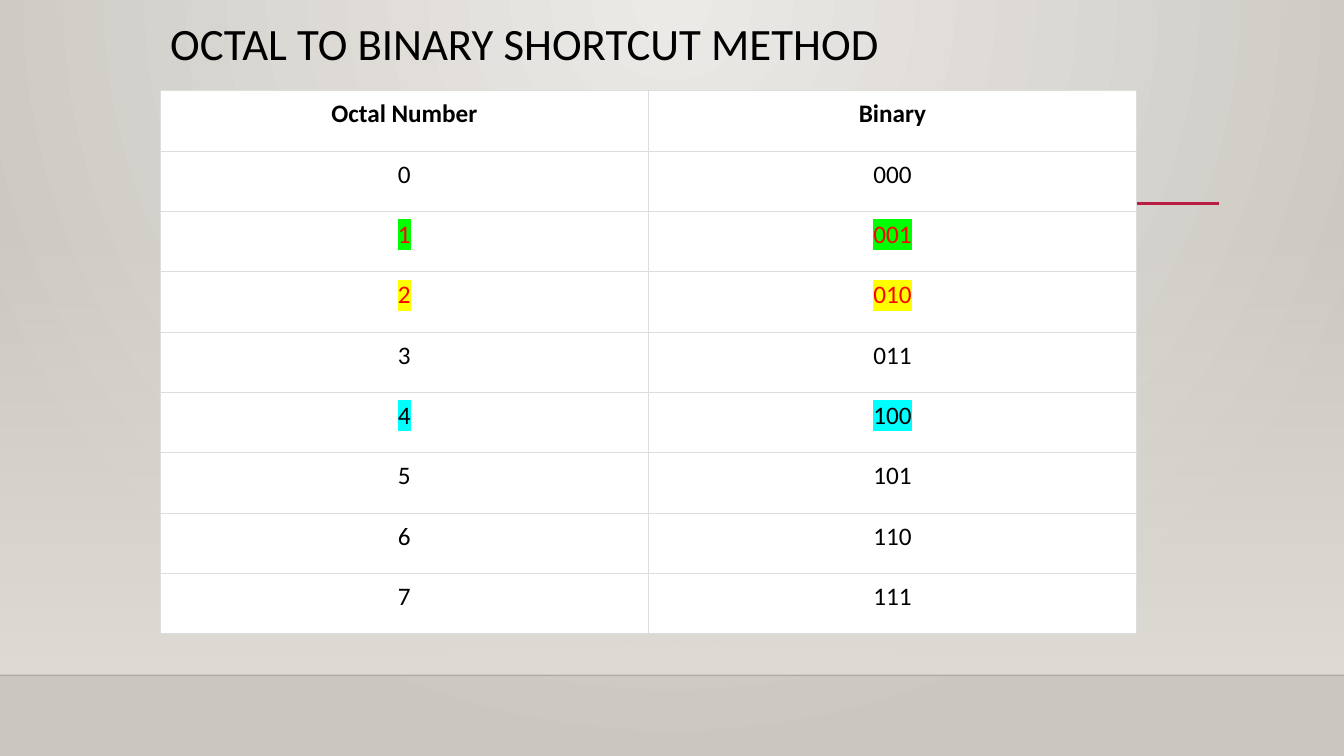
from lxml import etree
from pptx import Presentation
from pptx import util as u
from pptx.dml.color import RGBColor
from pptx.enum import shapes, text
from pptx.oxml import ns

FONT = "Calibri"
COLORS = {
    "glow": "ECEAE7", "backdrop": "CAC7C1", "wall": "DFDBD5",
    "edge": "000001", "accent": "B71E42", "ink": "000000",
    "cell": "FFFFFF", "border": "DDDDDD", "marked": "FF0000",
    "green": "00FF00", "yellow": "FFFF00", "cyan": "00FFFF",
}
# Octal digit: (font colour, highlight colour)
MARKED_DIGITS = {1: ("marked", "green"), 2: ("marked", "yellow"), 4: ("ink", "cyan")}


def rgb(name):
    """Return the named colour."""
    return RGBColor.from_string(COLORS[name])


def add_child(parent, tag, **attributes):
    """Append a DrawingML element to parent."""
    return etree.SubElement(parent, ns.qn(tag), attributes)


def set_gradient(fill, first, last):
    """Give a fill a gradient between two named colours."""
    fill.gradient()
    for stop, name, position in zip(fill.gradient_stops, (first, last), (0, 1)):
        stop.color.rgb = rgb(name)
        stop.position = position


def set_alpha(element, percent):
    """Set the opacity of the first colour inside an element."""
    add_child(next(element.iter(ns.qn("a:srgbClr"))), "a:alpha", val=str(percent * 1000))


def format_run(run, size, color="ink", bold=False):
    """Set the font of a run."""
    run.font.name = FONT
    run.font.size = u.Pt(size)
    run.font.bold = bold
    run.font.color.rgb = rgb(color)


def add_rule(slide, left, top, width, color, weight):
    """Draw a horizontal line without a shadow."""
    rule = slide.shapes.add_connector(
        shapes.MSO_CONNECTOR.STRAIGHT,
        u.Pt(left), u.Pt(top), u.Pt(left + width), u.Pt(top))
    rule.line.color.rgb = rgb(color)
    rule.line.width = u.Pt(weight)
    add_child(rule._element.spPr, "a:effectLst")
    return rule


def add_backdrop(slide, left, top, width, height):
    """Fill the background and draw the wall, with its lower edge, in the box."""
    set_gradient(slide.background.fill, "glow", "backdrop")
    gradient = next(slide._element.iter(ns.qn("a:gradFill")))
    gradient.remove(gradient.find(ns.qn("a:lin")))
    circle = add_child(gradient, "a:path", path="circle")
    add_child(circle, "a:fillToRect", l="43000", t="0", r="43000", b="100000")

    wall = slide.shapes.add_shape(
        shapes.MSO_SHAPE.RECTANGLE, u.Pt(left), u.Pt(top), u.Pt(width), u.Pt(height))
    wall.shadow.inherit = False
    wall.line.fill.background()
    set_gradient(wall.fill, "wall", "wall")
    wall.fill.gradient_angle = 270
    set_alpha(wall._element.spPr, 0)

    edge = add_rule(slide, left, top + height, width, "edge", 1)
    set_alpha(edge._element.spPr, 20)


def add_title(slide, left, top, width, height):
    """Write the title at the top of the box and draw the accent line below it."""
    add_rule(slide, left, top + 133.2, width, "accent", 2.5)
    title = slide.shapes.add_textbox(u.Pt(left), u.Pt(top), u.Pt(width), u.Pt(height))
    title.text_frame.word_wrap = True
    title.text_frame.text = "OCTAL TO BINARY SHORTCUT METHOD"
    paragraph = title.text_frame.paragraphs[0]
    paragraph.line_spacing = 0.9
    format_run(paragraph.runs[0], 32)


def format_cell(cell, content, color="ink", highlight=None, bold=False):
    """Write centred content into a white cell with thin borders."""
    cell.margin_left = cell.margin_right = u.Pt(5.76)
    cell.margin_top = cell.margin_bottom = u.Pt(5.76)
    properties = cell._tc.get_or_add_tcPr()
    for side in ("a:lnL", "a:lnR", "a:lnT", "a:lnB"):
        border = add_child(properties, side, w=str(u.Pt(0.75)))
        add_child(add_child(border, "a:solidFill"), "a:srgbClr", val=COLORS["border"])
    cell.fill.solid()
    cell.fill.fore_color.rgb = rgb("cell")

    cell.text_frame.text = content
    paragraph = cell.text_frame.paragraphs[0]
    paragraph.alignment = text.PP_ALIGN.CENTER
    run = paragraph.runs[0]
    format_run(run, 18, color, bold)
    if highlight:
        marker = etree.Element(ns.qn("a:highlight"))
        add_child(marker, "a:srgbClr", val=COLORS[highlight])
        run.font._element.find(ns.qn("a:solidFill")).addnext(marker)


def add_octal_table(slide, left, top, width, height):
    """Fill the box with a table of the octal digits and their binary forms."""
    headings = ("Octal Number", "Binary")
    table = slide.shapes.add_table(
        9, 2, u.Pt(left), u.Pt(top), u.Pt(width), u.Pt(height)).table
    table.first_row = table.horz_banding = False
    for column, heading in enumerate(headings):
        format_cell(table.cell(0, column), heading, bold=True)
    for digit in range(8):
        color, highlight = MARKED_DIGITS.get(digit, ("ink", None))
        for column, content in enumerate((str(digit), f"{digit:03b}")):
            format_cell(table.cell(digit + 1, column), content, color, highlight)


def main():
    """Build the slide and save it."""
    presentation = Presentation()
    presentation.slide_width, presentation.slide_height = u.Pt(960), u.Pt(540)
    slide = presentation.slides.add_slide(presentation.slide_layouts[6])
    add_backdrop(slide, 0, 159.1, 960, 323.3)
    add_title(slide, 114.5, 12.2, 756, 63.4)
    add_octal_table(slide, 114.5, 64.8, 697.4, 388)
    presentation.save("out.pptx")


main()
